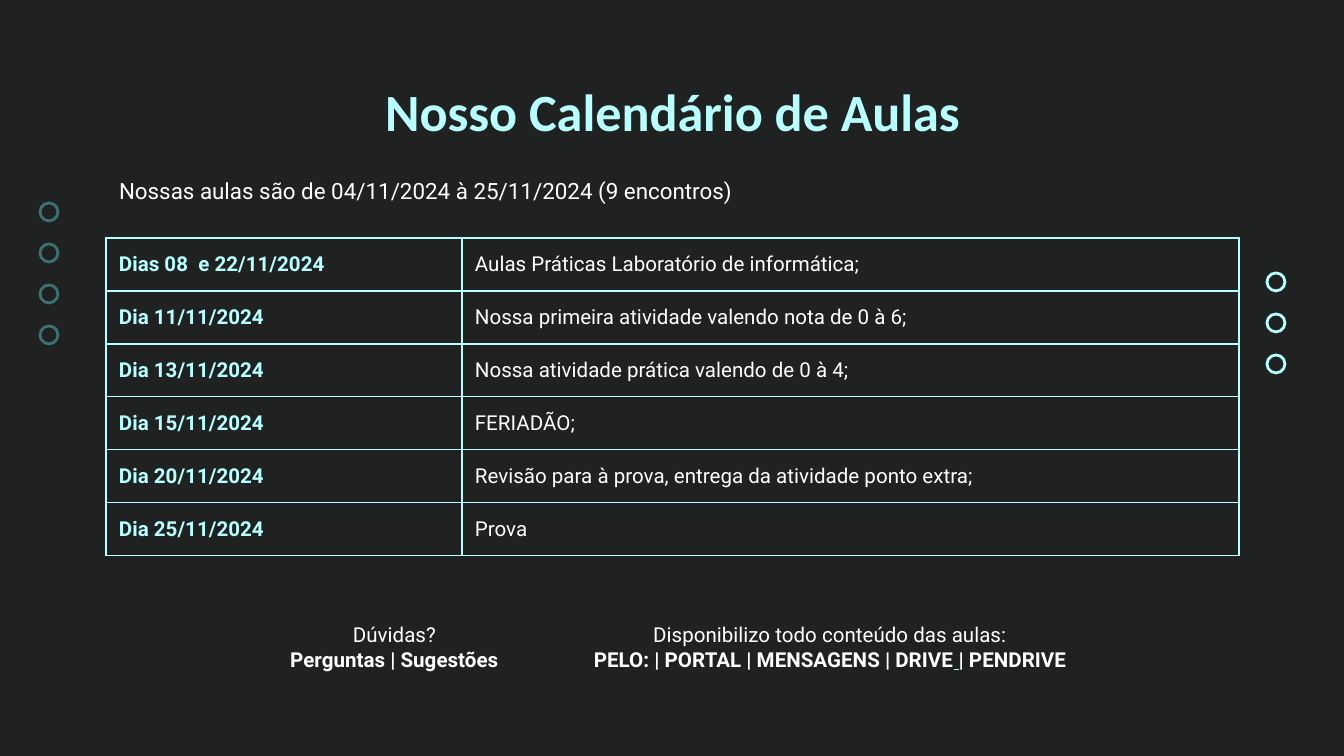
import lxml.etree
import pptx
import pptx.dml.color
import pptx.enum.shapes
import pptx.enum.text
import pptx.oxml.ns
import pptx.util

PX = 914400 / 134.4
CYAN = pptx.dml.color.RGBColor(0xB8, 0xFF, 0xFF)
TEAL = pptx.dml.color.RGBColor(0x3D, 0x72, 0x72)
WHITE = pptx.dml.color.RGBColor(0xFF, 0xFF, 0xFF)
CHARCOAL = pptx.dml.color.RGBColor(0x20, 0x22, 0x22)
ALIGN = pptx.enum.text.PP_ALIGN
ANCHOR = pptx.enum.text.MSO_ANCHOR
qn = pptx.oxml.ns.qn

LESSONS = [
    ("Dias 08  e 22/11/2024", "Aulas Práticas Laboratório de informática;"),
    ("Dia 11/11/2024", "Nossa primeira atividade valendo nota de 0 à 6;"),
    ("Dia 13/11/2024", "Nossa atividade prática valendo de 0 à 4;"),
    ("Dia 15/11/2024", "FERIADÃO;"),
    ("Dia 20/11/2024", "Revisão para à prova, entrega da atividade ponto extra;"),
    ("Dia 25/11/2024", "Prova"),
]


def px(length):
    return pptx.util.Emu(round(length * PX))


class DarkSlide:
    font = "Roboto"
    size = 11
    inset = px(13)

    def __init__(self, slide):
        self.slide = slide
        slide.background.fill.solid()
        slide.background.fill.fore_color.rgb = CHARCOAL

    def run(self, paragraph, text, color=WHITE, bold=False, underline=False, size=None, font=None):
        run = paragraph.add_run()
        run.text = text
        run.font.name = font or self.font
        run.font.size = pptx.util.Pt(size or self.size)
        run.font.color.rgb = color
        run.font.bold = bold
        run.font.underline = underline

    def frame(self, shape, align):
        frame = shape.text_frame
        frame.word_wrap = True
        frame.auto_size = pptx.enum.text.MSO_AUTO_SIZE.NONE
        frame.vertical_anchor = ANCHOR.TOP
        frame.margin_left = frame.margin_right = self.inset
        frame.margin_top = frame.margin_bottom = self.inset
        paragraph = frame.paragraphs[0]
        paragraph.alignment = align
        paragraph.space_before = pptx.util.Pt(0)
        return paragraph

    def placeholder(self, index, box, text, align, **style):
        holder = self.slide.placeholders[index]
        holder.left, holder.top, holder.width, holder.height = map(px, box)
        paragraph = self.frame(holder, align)
        properties = paragraph._p.get_or_add_pPr()
        properties.set("marL", "0")
        properties.set("indent", "0")
        lxml.etree.SubElement(properties, qn("a:buNone"))
        self.run(paragraph, text, **style)

    def note(self, box, heading, details):
        textbox = self.slide.shapes.add_textbox(*map(px, box))
        paragraph = self.frame(textbox, ALIGN.CENTER)
        self.run(paragraph, heading)
        paragraph.add_line_break()
        for text, style in details:
            self.run(paragraph, text, bold=True, **style)

    def rings(self, left, top, count, color, diameter=18, pitch=41):
        for i in range(count):
            ring = self.slide.shapes.add_shape(
                pptx.enum.shapes.MSO_SHAPE.OVAL,
                px(left), px(top + i * pitch), px(diameter), px(diameter))
            ring.shadow.inherit = False
            ring.fill.background()
            ring.line.color.rgb = color
            ring.line.width = pptx.util.Pt(1.5)

    def borders(self, cell):
        properties = cell._tc.get_or_add_tcPr()
        for i, side in enumerate(("lnL", "lnR", "lnT", "lnB")):
            line = lxml.etree.Element(qn(f"a:{side}"), w=str(pptx.util.Pt(0.75)))
            fill = lxml.etree.SubElement(line, qn("a:solidFill"))
            lxml.etree.SubElement(fill, qn("a:srgbClr"), val=str(CYAN))
            properties.insert(i, line)

    def table(self, left, top, widths, row_height, rows):
        table = self.slide.shapes.add_table(
            len(rows), len(widths), px(left), px(top),
            px(sum(widths)), px(row_height * len(rows))).table
        table.first_row = table.horz_banding = False
        for column, width in zip(table.columns, widths):
            column.width = px(width)
        for r, texts in enumerate(rows):
            table.rows[r].height = px(row_height)
            for c, text in enumerate(texts):
                cell = table.cell(r, c)
                cell.fill.background()
                cell.vertical_anchor = ANCHOR.MIDDLE
                cell.margin_left = cell.margin_right = self.inset
                cell.margin_top = cell.margin_bottom = 0
                self.borders(cell)
                is_date = c == 0
                self.run(cell.text_frame.paragraphs[0], text,
                         color=CYAN if is_date else WHITE, bold=is_date)


def main():
    deck = pptx.Presentation()
    deck.slide_width, deck.slide_height = px(1344), px(756)
    calendar = DarkSlide(deck.slides.add_slide(deck.slide_layouts[1]))
    calendar.rings(40, 203, 4, TEAL)
    calendar.rings(1267, 273, 3, CYAN)
    calendar.placeholder(0, (106, 66, 1133, 85), "Nosso Calendário de Aulas",
                         ALIGN.CENTER, color=CYAN, bold=True, size=28, font="Calibri")
    calendar.placeholder(1, (106, 164, 1133, 59),
                         "Nossas aulas são de 04/11/2024 à 25/11/2024 (9 encontros)",
                         ALIGN.LEFT, size=12)
    calendar.table(106, 238, (356, 777), 53, LESSONS)
    calendar.note((263, 609, 263, 67), "Dúvidas?", [("Perguntas | Sugestões", {})])
    calendar.note((580, 609, 500, 67), "Disponibilizo todo conteúdo das aulas:", [
        ("PELO: | PORTAL | MENSAGENS | DRIVE", {}),
        (" ", {"color": CYAN, "underline": True}),
        ("| PENDRIVE", {}),
    ])
    deck.save("out.pptx")


if __name__ == "__main__":
    main()
